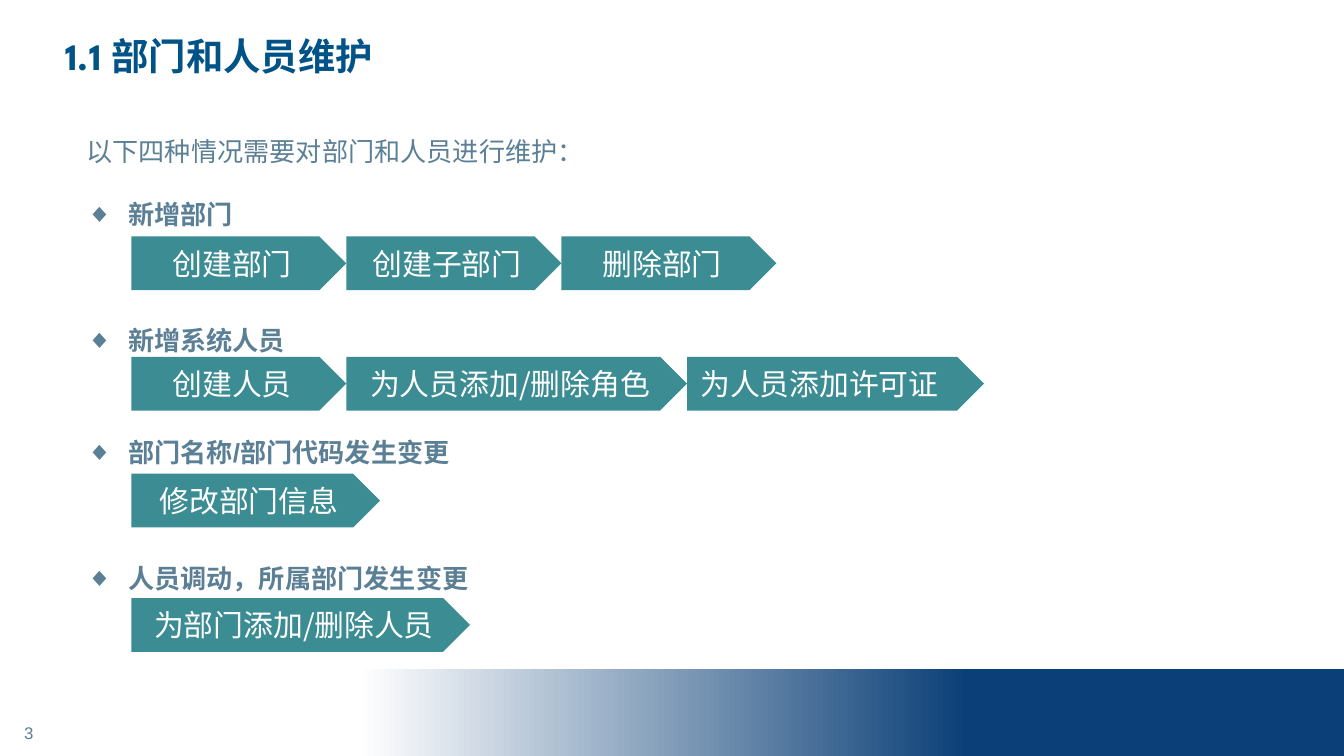
from collections import namedtuple

from lxml.etree import SubElement
from pptx import Presentation
from pptx.dml.color import RGBColor
from pptx.enum.shapes import MSO_SHAPE
from pptx.enum.text import MSO_ANCHOR, PP_ALIGN
from pptx.oxml.ns import qn
from pptx.util import Inches, Pt

Box = namedtuple("Box", "left top width height")
CELL = Inches(0.1)
COLUMNS, ROWS = 100, 56.25
LINE = 33.75
COLORS = {"title": "005386", "body": "5B7F95", "step": "3C8C93",
          "white": "FFFFFF", "navy": "0B3F77"}
INTRO = "以下四种情况需要对部门和人员进行维护："
CASES = [("新增部门", 0), ("新增系统人员", LINE),
         ("部门名称/部门代码发生变更", 26.25), ("人员调动，所属部门发生变更", 33.5)]
FLOWS = [
    (17.6, [("创建部门", 16), ("创建子部门", 16), ("删除部门", 16)]),
    (26.55, [("创建人员", 16), ("为人员添加/删除角色", 25.35), ("为人员添加许可证", 22.1)]),
    (35.25, [("修改部门信息", 18.5)]),
    (44.5, [("为部门添加/删除人员", 25.2)]),
]


def to_emu(box):
    """Turn a box in grid cells into slide lengths."""
    return [round(length * CELL) for length in box]


def add_run(paragraph, text, size, font, color, bold=False):
    """Append one formatted run to a paragraph."""
    run = paragraph.add_run()
    run.text = text
    run.font.size = Pt(size)
    run.font.name = font
    run.font.bold = bold
    run.font.color.rgb = RGBColor.from_string(COLORS[color])


def add_text_frame(slide, box, anchor):
    """Add a wrapping text box and return its frame."""
    frame = slide.shapes.add_textbox(*to_emu(box)).text_frame
    frame.word_wrap = True
    frame.vertical_anchor = anchor
    return frame


def add_plain_shape(slide, kind, box):
    """Add a preset shape without outline or shadow."""
    shape = slide.shapes.add_shape(kind, *to_emu(box))
    shape.shadow.inherit = False
    shape.line.fill.background()
    return shape


def add_footer(slide, box):
    """Place the page number and the gradient band along the foot."""
    number_box = Box(box.left, box.top + 2.75, 4.3, 3.9)
    paragraph = add_text_frame(slide, number_box, MSO_ANCHOR.MIDDLE).paragraphs[0]
    paragraph.alignment = PP_ALIGN.CENTER
    add_run(paragraph, "3", 9, "Arial", "body")
    band_box = Box(box.left + 3.6, box.top, box.width - 3.6, box.height)
    band = add_plain_shape(slide, MSO_SHAPE.RECTANGLE, band_box)
    band.fill.gradient()
    band.fill.gradient_angle = 0
    stops = zip(band.fill.gradient_stops, (0.24, 0.71), ("white", "navy"))
    for stop, position, color in stops:
        stop.position = position
        stop.color.rgb = RGBColor.from_string(COLORS[color])


def add_title(slide, box):
    """Place the slide heading."""
    frame = add_text_frame(slide, box, MSO_ANCHOR.MIDDLE)
    add_run(frame.paragraphs[0], "1.1 部门和人员维护", 20, "League Spartan", "title", True)


def add_bullet(paragraph):
    """Give a paragraph a hanging diamond bullet."""
    properties = paragraph._p.get_or_add_pPr()
    properties.set("marL", str(Inches(0.31)))
    properties.set("indent", str(-Inches(0.31)))
    SubElement(properties, qn("a:buFont")).set("typeface", "Arial")
    SubElement(properties, qn("a:buChar")).set("char", "◆")


def add_cases(slide, box):
    """Place the introduction and the bulleted cases."""
    frame = add_text_frame(slide, box, MSO_ANCHOR.TOP)
    paragraph = frame.paragraphs[0]
    paragraph.line_spacing = Pt(LINE)
    add_run(paragraph, INTRO, 14, "Arial", "body")
    for text, gap in CASES:
        paragraph = frame.add_paragraph()
        add_bullet(paragraph)
        paragraph.line_spacing = Pt(LINE)
        paragraph.space_before = Pt(gap)
        add_run(paragraph, text, 14, "Arial", "body", True)


def add_flow(slide, box, steps):
    """Place a chain of touching pentagon steps from the left of the box."""
    left = box.left
    for text, width in steps:
        step_box = Box(left, box.top, width, box.height)
        step = add_plain_shape(slide, MSO_SHAPE.PENTAGON, step_box)
        step.fill.solid()
        step.fill.fore_color.rgb = RGBColor.from_string(COLORS["step"])
        step.text_frame.word_wrap = True
        step.text_frame.vertical_anchor = MSO_ANCHOR.MIDDLE
        paragraph = step.text_frame.paragraphs[0]
        is_license = text == "为人员添加许可证"
        paragraph.alignment = PP_ALIGN.LEFT if is_license else PP_ALIGN.CENTER
        add_run(paragraph, text, 16, "Noto Sans CJK SC", "white")
        left += width


def main():
    """Build and save the slide."""
    presentation = Presentation()
    presentation.slide_width = round(COLUMNS * CELL)
    presentation.slide_height = round(ROWS * CELL)
    slide = presentation.slides.add_slide(presentation.slide_layouts[6])
    add_footer(slide, Box(0, 49.8, COLUMNS, ROWS - 49.8))
    add_title(slide, Box(3.9, 1.6, 67.5, 5.1))
    add_cases(slide, Box(5.45, 7.25, 88.8, 39.2))
    for top, steps in FLOWS:
        add_flow(slide, Box(9.77, top, 84.4, 4), steps)
    presentation.save("out.pptx")


if __name__ == "__main__":
    main()
